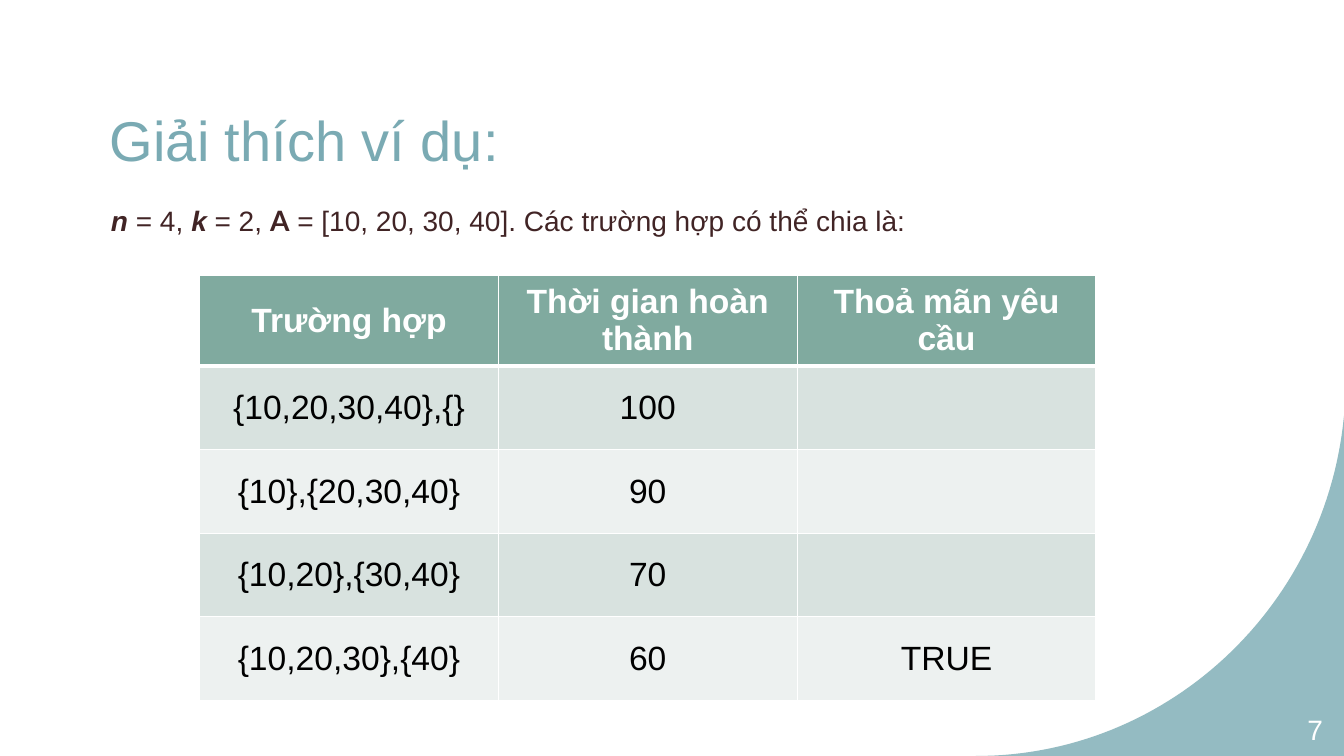
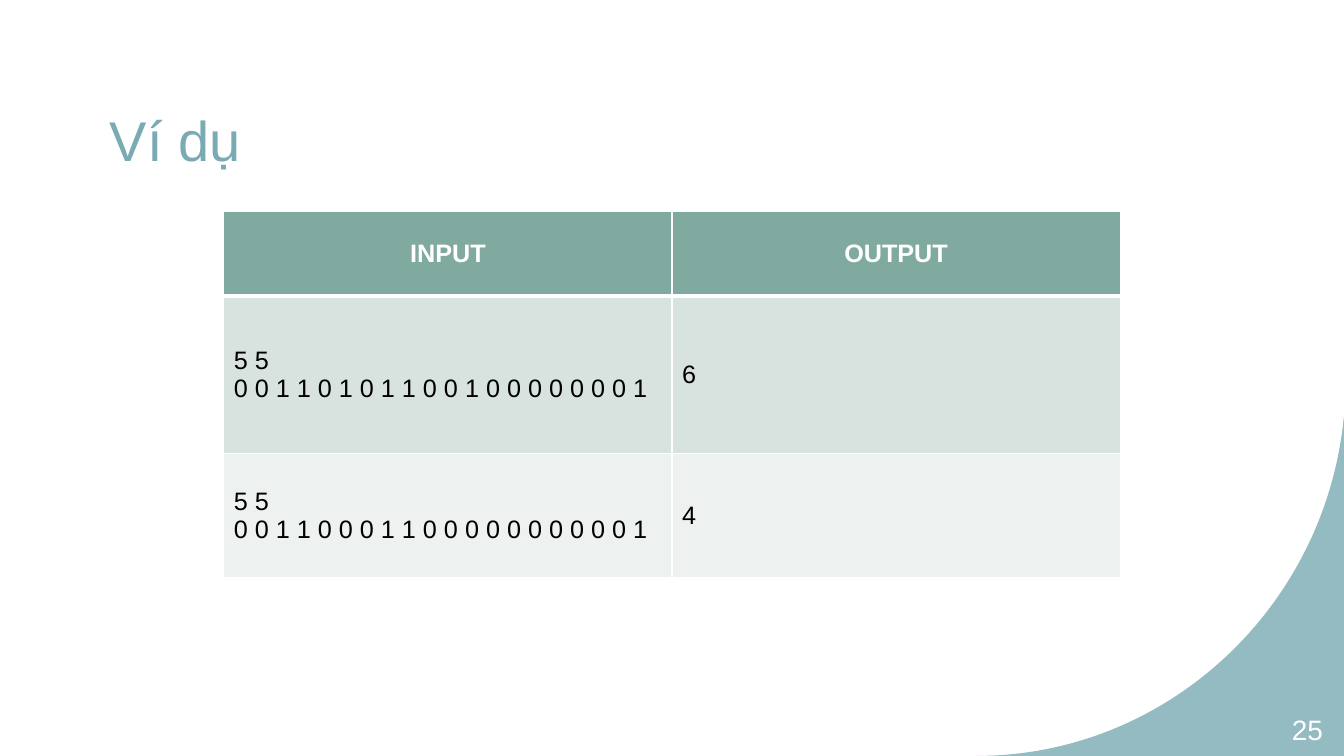
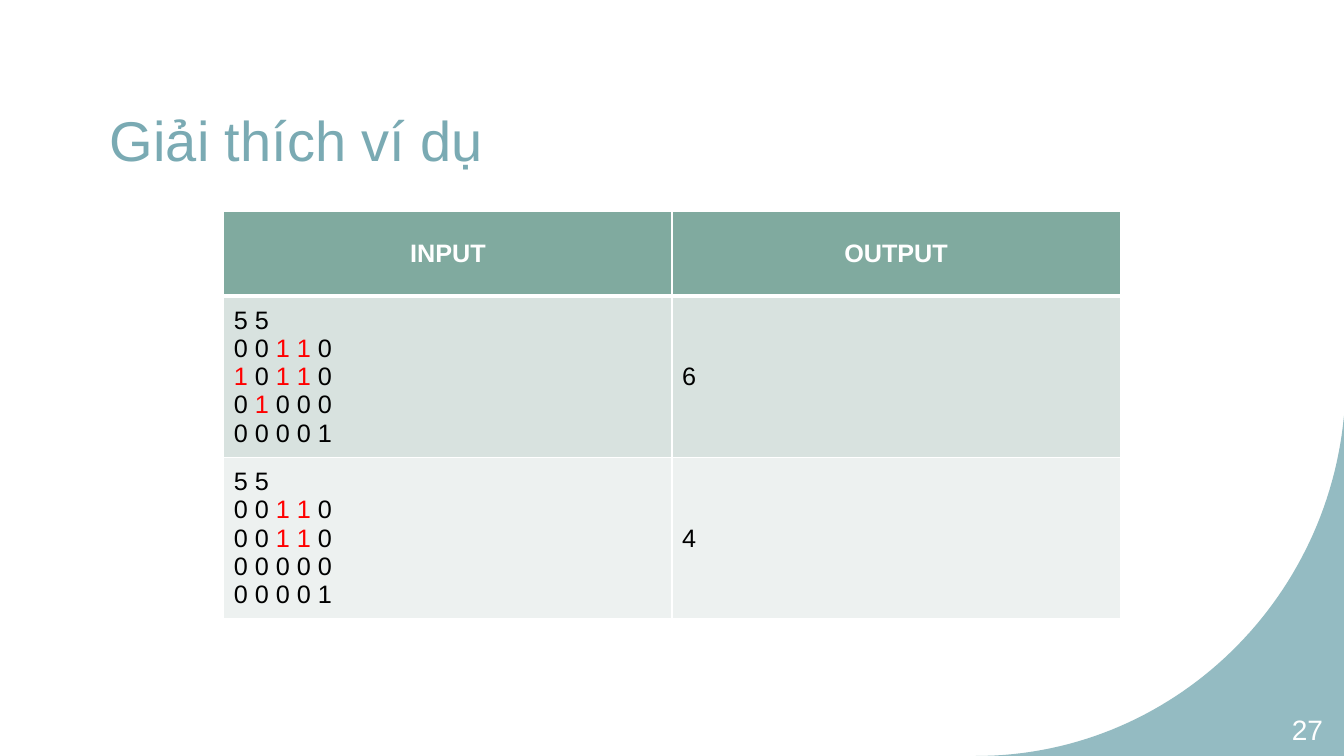
from dataclasses import dataclass

from lxml.etree import SubElement
from pptx import Presentation
from pptx.dml.color import RGBColor
from pptx.enum.text import MSO_ANCHOR, MSO_AUTO_SIZE, PP_ALIGN
from pptx.oxml.ns import qn
from pptx.util import Inches, Pt


@dataclass(frozen=True)
class Theme:
    font: str = "Arial"
    accent_font: str = "Lato"
    teal: str = "7AAAB3"
    brown: str = "412425"
    header: str = "80AA9F"
    bands: tuple = ("D8E2DF", "EDF1F0")
    white: str = "FFFFFF"
    black: str = "000000"
    red: str = "FF0000"
    title_size: int = 40
    body_size: int = 20
    corner_opacity: int = 80


THEME = Theme()


def add_span(para, text, size, color, bold=False, italic=False, font=THEME.font):
    span = para.add_run()
    span.text = text
    span.font.name = font
    span.font.size = Pt(size)
    span.font.bold = bold
    span.font.italic = italic
    span.font.color.rgb = RGBColor.from_string(color)


def set_cell_borders(cell, bottom_width):
    """Draw white borders, 1 pt wide except along the bottom."""
    properties = cell._tc.get_or_add_tcPr()
    for side, width in (("L", 1), ("R", 1), ("T", 1), ("B", bottom_width)):
        line = SubElement(properties, qn(f"a:ln{side}"), w=str(Pt(width)))
        fill = SubElement(line, qn("a:solidFill"))
        SubElement(fill, qn("a:srgbClr"), val=THEME.white)


# In cell text, every second piece between bars is red.
PAGES = [
    {
        "number": "7",
        "title": "Giải thích ví dụ:",
        "body": [
            ("n", True, True, THEME.font),
            (" = 4, ", False, False, THEME.font),
            ("k", True, True, THEME.font),
            (" = 2, ", False, False, THEME.font),
            ("A", True, False, THEME.accent_font),
            (" = [10, 20, 30, 40]. Các trường hợp có thể chia là:", False, False, THEME.font),
        ],
        "table_at": (1.98, 2.73),
        "row_heights": [0.83] * 5,
        "size": 24,
        "align": PP_ALIGN.CENTER,
        "rows": [
            ("Trường hợp", "Thời gian hoàn thành", "Thoả mãn yêu cầu"),
            ("{10,20,30,40},{}", "100", ""),
            ("{10},{20,30,40}", "90", ""),
            ("{10,20},{30,40}", "70", ""),
            ("{10,20,30},{40}", "60", "TRUE"),
        ],
    },
]
EXAMPLES = [
    ("25", "Ví dụ",
     "5 5\n0 0 1 1 0 1 0 1 1 0 0 1 0 0 0 0 0 0 0 1",
     "5 5\n0 0 1 1 0 0 0 1 1 0 0 0 0 0 0 0 0 0 0 1"),
    ("27", "Giải thích ví dụ",
     "5 5\n0 0 |1 1| 0\n|1| 0 |1 1| 0\n0 |1| 0 0 0\n0 0 0 0 1",
     "5 5\n0 0 |1 1 |0\n0 0 |1 1 |0\n0 0 0 0 0\n0 0 0 0 1"),
]
for number, title, first_input, second_input in EXAMPLES:
    PAGES.append({
        "number": number,
        "title": title,
        "body": [],
        "table_at": (2.22, 2.1),
        "row_heights": [0.84, 1.56, 1.23],
        "size": 18,
        "align": PP_ALIGN.LEFT,
        "rows": [("INPUT", "OUTPUT"), (first_input, "6"), (second_input, "4")],
    })

TABLE_WIDTH = 8.89
CORNER_CURVE = [(9.68, 7.5), (11.58, 7.5), (13.15, 6.02), (13.33, 4.13)]
CURVE_STEPS = 60

deck = Presentation()
deck.slide_width = Inches(13.33)
deck.slide_height = Inches(7.5)
content_layout = deck.slide_layouts[1]
title_layout = deck.slide_layouts[5]

for index, content in enumerate(PAGES):
    page = deck.slides.add_slide(content_layout if content["body"] else title_layout)

    if index == 0:
        # The corner is outlined here, then moved to the master for all slides.
        curve = []
        for step in range(CURVE_STEPS + 1):
            t = step / CURVE_STEPS
            weights = ((1 - t) ** 3, 3 * t * (1 - t) ** 2, 3 * t * t * (1 - t), t ** 3)
            curve.append(tuple(
                Inches(sum(w * point[axis] for w, point in zip(weights, CORNER_CURVE)))
                for axis in (0, 1)
            ))
        builder = page.shapes.build_freeform(*curve[0])
        builder.add_line_segments(
            curve[1:] + [(Inches(13.34), Inches(4.08)), (Inches(13.34), Inches(7.5))], close=True
        )
        corner = builder.convert_to_shape()
        corner.shadow.inherit = False
        corner.line.fill.background()
        corner.fill.solid()
        corner.fill.fore_color.rgb = RGBColor.from_string(THEME.teal)
        corner_color = corner.element.spPr.find(f"{qn('a:solidFill')}/{qn('a:srgbClr')}")
        SubElement(corner_color, qn("a:alpha"), val=str(THEME.corner_opacity * 1000))
        deck.slide_master.shapes.element.insert(2, corner.element)

    title = page.shapes.title
    title.left, title.top = Inches(0.99), Inches(0.65)
    title.width, title.height = Inches(10.84), Inches(1.45)
    title.text_frame.auto_size = MSO_AUTO_SIZE.NONE
    title.text_frame.vertical_anchor = MSO_ANCHOR.MIDDLE
    para = title.text_frame.paragraphs[0]
    para.alignment = PP_ALIGN.LEFT
    add_span(para, content["title"], THEME.title_size, THEME.teal)

    if content["body"]:
        body = page.placeholders[1]
        body.left, body.top = Inches(1), Inches(1.9)
        body.width, body.height = Inches(10.84), Inches(4.51)
        body.text_frame.auto_size = MSO_AUTO_SIZE.NONE
        para = body.text_frame.paragraphs[0]
        para.line_spacing = 1.2
        para.space_before = Pt(10)
        properties = para._p.get_or_add_pPr()
        properties.set("marL", "0")
        properties.set("indent", "0")
        SubElement(properties, qn("a:buNone"))
        for text, bold, italic, font in content["body"]:
            add_span(para, text, THEME.body_size, THEME.brown, bold, italic, font)

    number_box = page.shapes.add_textbox(Inches(12.46), Inches(7.04), Inches(0.76), Inches(0.4))
    number_box.text_frame.word_wrap = True
    number_box.text_frame.vertical_anchor = MSO_ANCHOR.MIDDLE
    para = number_box.text_frame.paragraphs[0]
    para.alignment = PP_ALIGN.RIGHT
    add_span(para, content["number"], THEME.body_size, THEME.white)

    rows = content["rows"]
    left, top = content["table_at"]
    heights = content["row_heights"]
    table = page.shapes.add_table(
        len(rows), len(rows[0]), Inches(left), Inches(top), Inches(TABLE_WIDTH), Inches(sum(heights))
    ).table
    for row, height in zip(table.rows, heights):
        row.height = Inches(height)
    for row_index, texts in enumerate(rows):
        is_header = row_index == 0
        row_fill = THEME.header if is_header else THEME.bands[(row_index - 1) % 2]
        for column_index, text in enumerate(texts):
            cell = table.cell(row_index, column_index)
            set_cell_borders(cell, bottom_width=3 if is_header else 1)
            cell.fill.solid()
            cell.fill.fore_color.rgb = RGBColor.from_string(row_fill)
            cell.vertical_anchor = MSO_ANCHOR.MIDDLE
            for line_index, line in enumerate(text.splitlines()):
                frame = cell.text_frame
                para = frame.add_paragraph() if line_index else frame.paragraphs[0]
                para.alignment = PP_ALIGN.CENTER if is_header else content["align"]
                for piece_index, piece in enumerate(line.split("|")):
                    color = THEME.red if piece_index % 2 else THEME.black
                    if piece:
                        add_span(para, piece, content["size"],
                                 THEME.white if is_header else color, bold=is_header)

deck.save("out.pptx")
